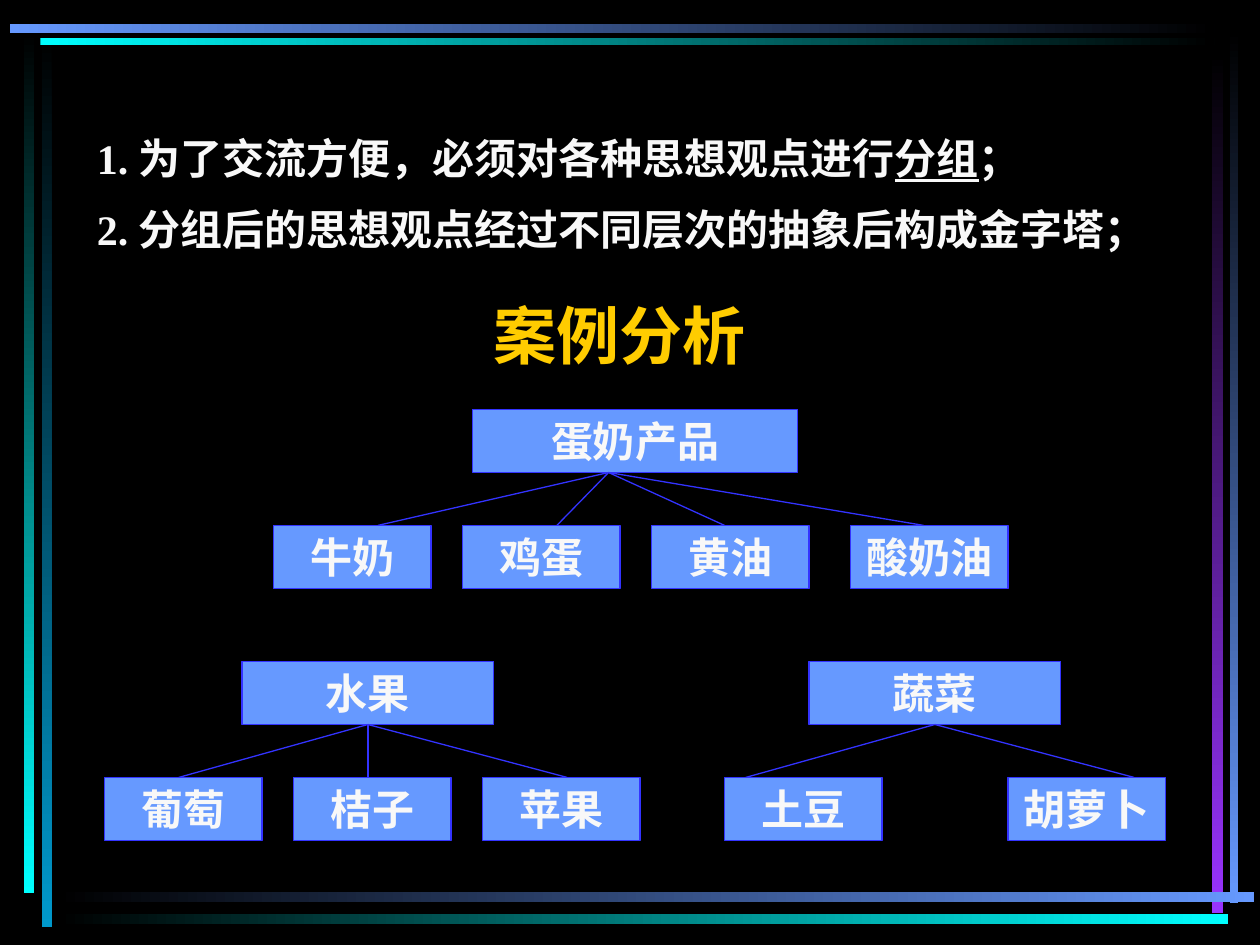
from dataclasses import dataclass

from lxml.etree import SubElement
from pptx import Presentation
from pptx.dml.color import RGBColor
from pptx.enum.shapes import MSO_CONNECTOR, MSO_SHAPE
from pptx.enum.text import MSO_ANCHOR, MSO_AUTO_SIZE, PP_ALIGN
from pptx.oxml.ns import qn
from pptx.slide import Slide
from pptx.text.text import TextFrame, _Paragraph
from pptx.util import Inches, Pt


@dataclass(frozen=True)
class Theme:
    background: str = "000000"
    text: str = "F8F8F8"
    title: str = "FFCC00"
    box: str = "6699FF"
    outline: str = "3333FF"
    cyan: str = "00FFFF"
    teal: str = "0099CC"
    purple: str = "9933FF"
    title_font: str = "Roboto"
    body_font: str = "Times New Roman"
    title_size: int = 36
    body_size: int = 24
    outline_width: float = 0.75


THEME = Theme()


@dataclass(frozen=True)
class Bar:
    left: float
    top: float
    width: float
    height: float
    start: str
    end: str


@dataclass(frozen=True)
class Child:
    label: str
    left: float
    link_x: float


@dataclass(frozen=True)
class Tree:
    label: str
    left: float
    top: float
    width: float
    link_x: float
    children: tuple[Child, ...]


BLACK = THEME.background
BARS = (
    Bar(0.33, 0.28, 0.08, 7.08, BLACK, THEME.teal),
    Bar(0.19, 0.25, 0.08, 6.84, BLACK, THEME.cyan),
    Bar(9.76, 0.24, 0.07, 6.93, BLACK, THEME.box),
    Bar(9.62, 0.42, 0.09, 6.83, BLACK, THEME.purple),
    Bar(0.45, 7.08, 9.5, 0.08, BLACK, THEME.box),
    Bar(0.45, 7.25, 9.3, 0.08, BLACK, THEME.cyan),
    Bar(0.32, 0.3, 9.32, 0.06, THEME.cyan, BLACK),
    Bar(0.08, 0.19, 9.56, 0.07, THEME.box, BLACK),
)

BOX_HEIGHT = 0.5
CHILD_WIDTH = 1.25
CHILD_DROP = 0.92
TREES = (
    Tree("蛋奶产品", 3.75, 3.25, 2.58, 4.83, (
        Child("牛奶", 2.17, 3), Child("鸡蛋", 3.67, 4.42),
        Child("黄油", 5.17, 5.75), Child("酸奶油", 6.75, 7.33))),
    Tree("水果", 1.92, 5.25, 2, 2.92, (
        Child("葡萄", 0.83, 1.42), Child("桔子", 2.33, 2.92),
        Child("苹果", 3.83, 4.5))),
    Tree("蔬菜", 6.42, 5.25, 2, 7.42, (
        Child("土豆", 5.75, 5.92), Child("胡萝卜", 8, 9))),
)

# Each point is a list of (text, underlined) runs.
POINTS = (
    (("1. 为了交流方便，必须对各种思想观点进行", False), ("分组", True), ("；", False)),
    (("2. 分组后的思想观点经过不同层次的抽象后构成金字塔；", False),),
)


def rgb(value: str) -> RGBColor:
    return RGBColor.from_string(value)


def add_run(paragraph: _Paragraph, text: str, font: str = THEME.body_font,
            size: int = THEME.body_size, color: str = THEME.text,
            underline: bool = False) -> None:
    run = paragraph.add_run()
    run.text = text
    font_format = {"name": font, "size": Pt(size), "bold": True, "underline": underline}
    for name, value in font_format.items():
        setattr(run.font, name, value)
    run.font.color.rgb = rgb(color)


def format_frame(frame: TextFrame, **settings: object) -> None:
    for name, value in settings.items():
        setattr(frame, name, value)


def add_bar(slide: Slide, bar: Bar) -> None:
    shape = slide.shapes.add_shape(
        MSO_SHAPE.RECTANGLE, Inches(bar.left), Inches(bar.top),
        Inches(bar.width), Inches(bar.height))
    shape.shadow.inherit = False
    shape.line.fill.background()
    shape.fill.gradient()
    shape.fill.gradient_angle = 0 if bar.width > bar.height else 270
    for stop, color in zip(shape.fill.gradient_stops, (bar.start, bar.end)):
        stop.color.rgb = rgb(color)


def add_box(slide: Slide, label: str, left: float, top: float, width: float) -> None:
    box = slide.shapes.add_shape(
        MSO_SHAPE.RECTANGLE, Inches(left), Inches(top), Inches(width), Inches(BOX_HEIGHT))
    box.shadow.inherit = False
    box.fill.solid()
    box.fill.fore_color.rgb = rgb(THEME.box)
    box.line.color.rgb = rgb(THEME.outline)
    box.line.width = Pt(THEME.outline_width)
    format_frame(box.text_frame, word_wrap=False, vertical_anchor=MSO_ANCHOR.MIDDLE)
    paragraph = box.text_frame.paragraphs[0]
    paragraph.alignment = PP_ALIGN.CENTER
    add_run(paragraph, label)


def add_link(slide: Slide, x1: float, y1: float, x2: float, y2: float) -> None:
    link = slide.shapes.add_connector(
        MSO_CONNECTOR.STRAIGHT, Inches(x1), Inches(y1), Inches(x2), Inches(y2))
    link.line.color.rgb = rgb(THEME.outline)
    link.line.width = Pt(THEME.outline_width)
    SubElement(link._element.spPr, qn("a:effectLst"))


def add_tree(slide: Slide, tree: Tree) -> None:
    child_top = tree.top + CHILD_DROP
    add_box(slide, tree.label, tree.left, tree.top, tree.width)
    for child in tree.children:
        add_box(slide, child.label, child.left, child_top, CHILD_WIDTH)
        add_link(slide, tree.link_x, tree.top + BOX_HEIGHT, child.link_x, child_top)


def set_title(slide: Slide, text: str) -> None:
    title = slide.shapes.title
    place = {"left": 0.67, "top": 2.17, "width": 8.5, "height": 0.83}
    for name, value in place.items():
        setattr(title, name, Inches(value))
    format_frame(title.text_frame, vertical_anchor=MSO_ANCHOR.BOTTOM,
                 auto_size=MSO_AUTO_SIZE.NONE, word_wrap=True)
    paragraph = title.text_frame.paragraphs[0]
    paragraph.alignment = PP_ALIGN.CENTER
    add_run(paragraph, text, THEME.title_font, THEME.title_size, THEME.title)


def add_points(slide: Slide) -> None:
    """Add the numbered points with a hanging indent."""
    frame = slide.shapes.add_textbox(
        Inches(0.67), Inches(0.92), Inches(8.58), Inches(1.15)).text_frame
    # The wider right margin keeps the last two characters on their own line.
    format_frame(frame, word_wrap=True, margin_right=Inches(0.3),
                 auto_size=MSO_AUTO_SIZE.SHAPE_TO_FIT_TEXT)
    for index, runs in enumerate(POINTS):
        paragraph = frame.add_paragraph() if index else frame.paragraphs[0]
        paragraph.line_spacing = 1.2
        paragraph.space_before = Pt(6)
        properties = paragraph._p.get_or_add_pPr()
        properties.set("marL", str(Inches(0.5)))
        properties.set("indent", str(Inches(-0.5)))
        for text, underline in runs:
            add_run(paragraph, text, underline=underline)


def main() -> None:
    deck = Presentation()
    deck.slide_width, deck.slide_height = Inches(10), Inches(7.5)
    slide = deck.slides.add_slide(deck.slide_layouts[5])
    slide.background.fill.solid()
    slide.background.fill.fore_color.rgb = rgb(THEME.background)
    for bar in BARS:
        add_bar(slide, bar)
    set_title(slide, "案例分析")
    for tree in TREES:
        add_tree(slide, tree)
    add_points(slide)
    deck.save("out.pptx")


if __name__ == "__main__":
    main()
